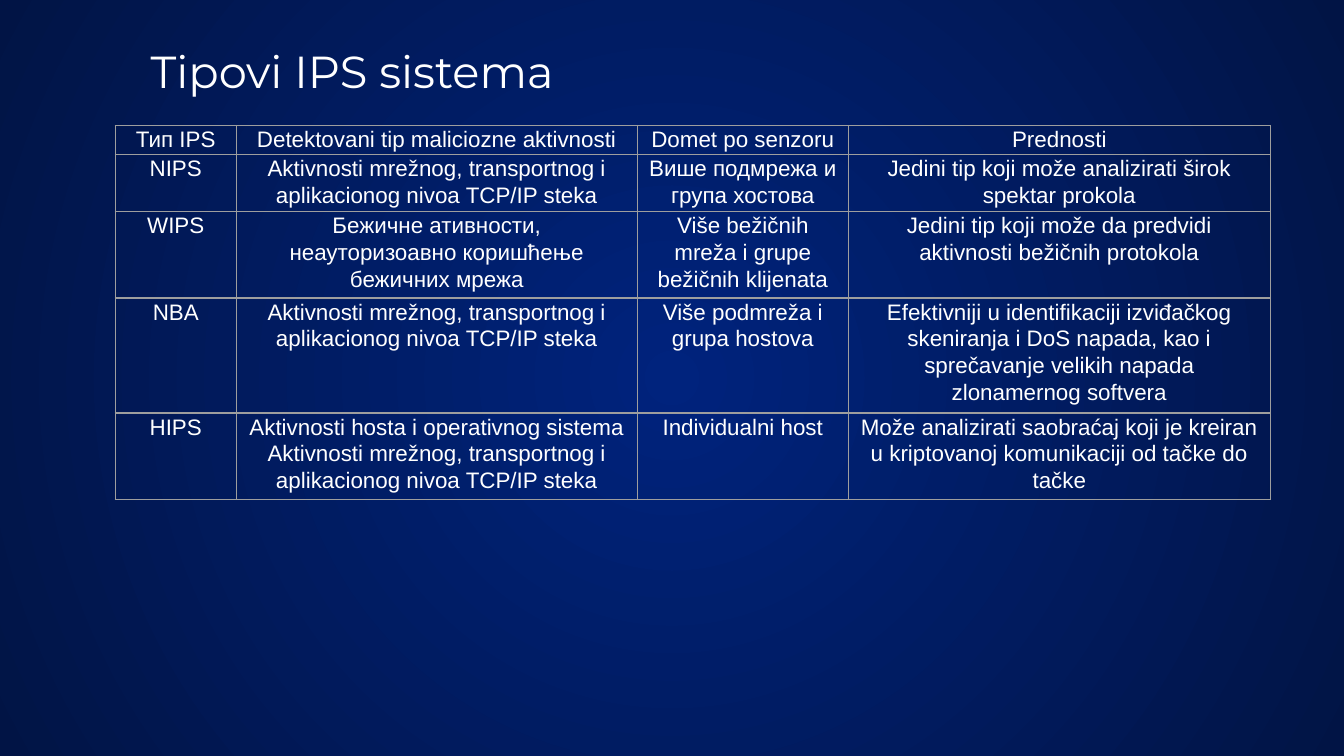
from pptx import Presentation as Deck
from pptx.dml.color import RGBColor as Rgb
from pptx.enum.text import MSO_ANCHOR as Anchor, PP_ALIGN as Align
from pptx.oxml import parse_xml as to_xml
from pptx.oxml.ns import nsdecls
from pptx.util import Inches, Pt

THEME = {
    "ink": "FFFFFF", "rule": "9E9E9E", "glow": "00237D", "edge": "011445",
    "head": {"font": "Montserrat", "size": 24},
    "body": {"font": "Arial", "size": 12},
}
UNIT = Inches(0.1)  # one grid column or row; the slide is 100 by 56.25
WIDE, HIGH = 100, 56.25


def grid(*spans):
    """Turn grid columns or rows into slide lengths."""
    return [round(span * UNIT) for span in spans]


def write(frame, text, font, size, align=Align.LEFT, lead=None):
    """Fill a frame, one paragraph a line."""
    frame.text = text
    for para in frame.paragraphs:
        para.alignment = align
        para.line_spacing = lead
        for run in para.runs:
            run.font.name, run.font.size = font, Pt(size)
            run.font.color.rgb = Rgb.from_string(THEME["ink"])


deck = Deck()
deck.slide_width, deck.slide_height = grid(WIDE, HIGH)
slide = deck.slides.add_slide(deck.slide_layouts[6])

# Radial background
slide.background.fill.solid()
back = slide.background.fill._xPr
back.replace(back[0], to_xml(
    f'<a:gradFill {nsdecls("a")} rotWithShape="1"><a:gsLst>'
    f'<a:gs pos="0"><a:srgbClr val="{THEME["glow"]}"/></a:gs>'
    f'<a:gs pos="100000"><a:srgbClr val="{THEME["edge"]}"/></a:gs></a:gsLst>'
    '<a:path path="circle"><a:fillToRect l="50000" t="50000" r="50000" b="50000"/>'
    '</a:path></a:gradFill>'))

# Title
title = slide.shapes.add_textbox(*grid(10.23, 1.13, 49.4, 8.3)).text_frame
title.word_wrap, title.vertical_anchor = True, Anchor.MIDDLE
title.margin_left, title.margin_right, title.margin_top, title.margin_bottom = \
    grid(1, 1, 1, 1)
write(title, "Tipovi IPS sistema", **THEME["head"])

# Table
STACK = "Aktivnosti mrežnog, transportnog i aplikacionog nivoa TCP/IP steka"
ROWS = [
    ("Тип IPS", "Detektovani tip maliciozne aktivnosti", "Domet po senzoru",
     "Prednosti"),
    ("NIPS", STACK, "Више подмрежа и група хостова",
     "Jedini tip koji može analizirati širok spektar prokola"),
    ("WIPS", "Бежичне ативности, неауторизоавно коришћење бежичних мрежа",
     "Više bežičnih mreža i grupe bežičnih klijenata",
     "Jedini tip koji može da predvidi aktivnosti bežičnih protokola"),
    ("NBA", STACK, "Više podmreža i grupa hostova",
     "Efektivniji u identifikaciji izviđačkog skeniranja i DoS napada, kao i "
     "sprečavanje velikih napada zlonamernog softvera"),
    ("HIPS", "Aktivnosti hosta i operativnog sistema\n" + STACK,
     "Individualni host",
     "Može analizirati saobraćaj koji je kreiran u kriptovanoj komunikaciji "
     "od tačke do tačke"),
]
COLS = grid(9, 29.85, 15.7, 31.4)
TALL = 27.6

holder = slide.shapes.add_table(
    len(ROWS), len(COLS), *grid(8.58, 9.33, 86, TALL))
table = holder.table
table.first_row = table.horz_banding = False
for col, width in zip(table.columns, COLS):
    col.width = width
for row, texts in zip(table.rows, ROWS):
    row.height = 0  # each row grows to fit its text
    for cell, text in zip(row.cells, texts):
        write(cell.text_frame, text, **THEME["body"], align=Align.CENTER, lead=1.07)
        cell.margin_left, cell.margin_right, cell.margin_top, cell.margin_bottom = \
            grid(0.75, 0.75, 0, 0)
        props = cell._tc.get_or_add_tcPr()
        for side in "LRTB":
            props.append(to_xml(
                f'<a:ln{side} {nsdecls("a")} w="{Pt(0.75)}"><a:solidFill>'
                f'<a:srgbClr val="{THEME["rule"]}"/></a:solidFill></a:ln{side}>'))
        cell.fill.background()
holder.height, = grid(TALL)

deck.save("out.pptx")
